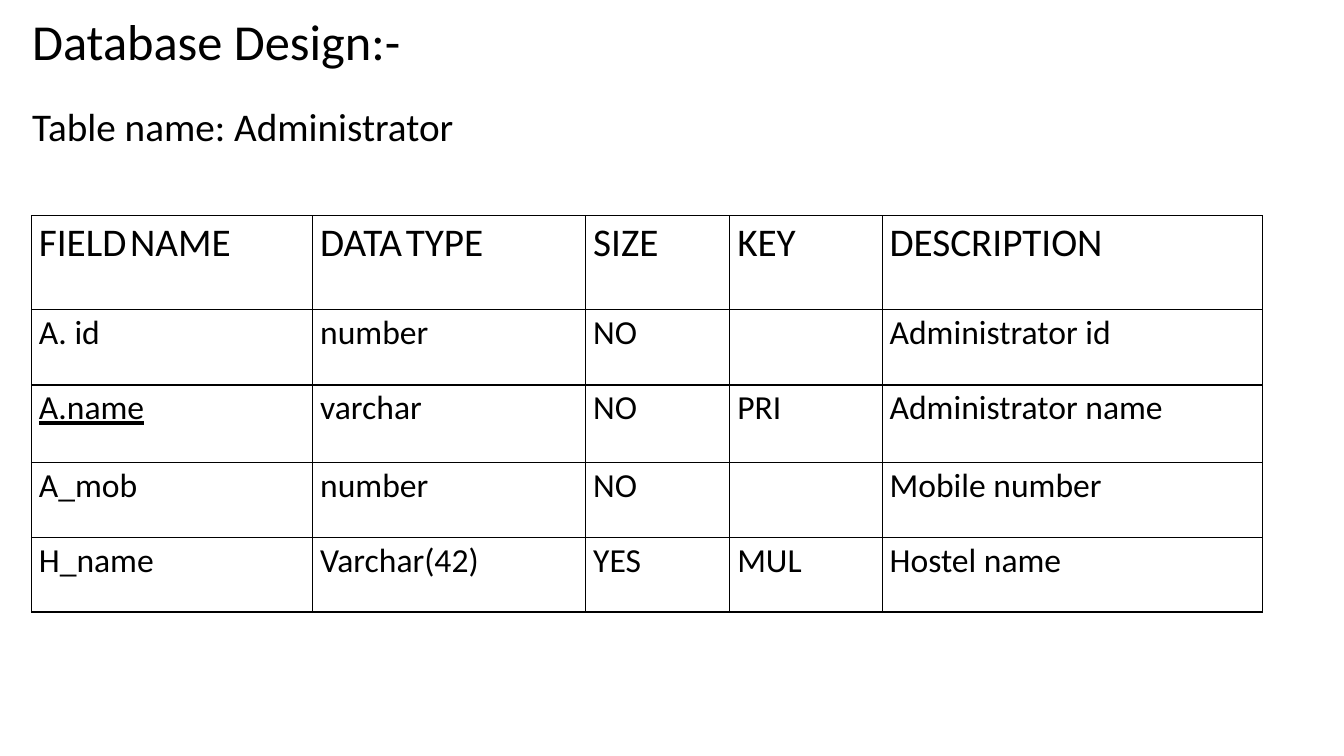
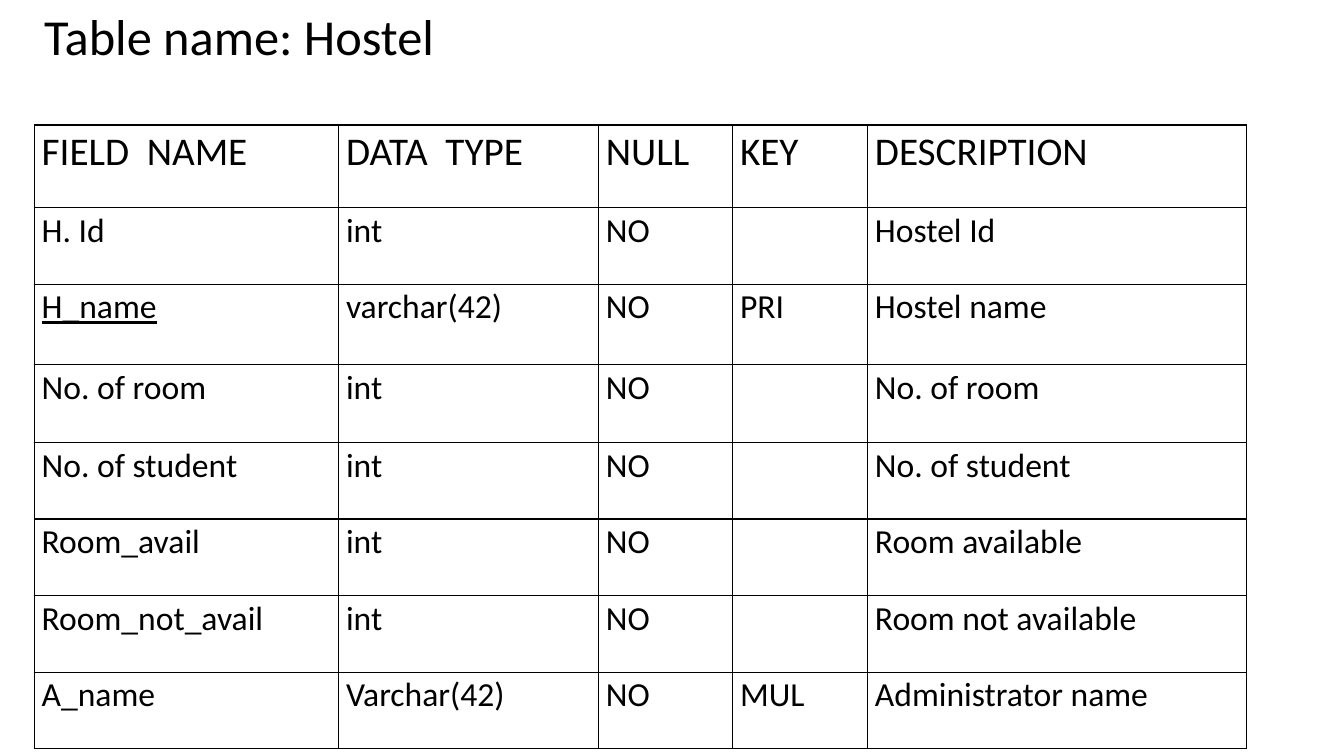
"""Build two slides that describe the database tables of a hostel system."""
from lxml import etree
from pptx import Presentation
from pptx import util as u
from pptx.dml.color import RGBColor
from pptx.enum import text
from pptx.oxml import ns

COLOURS = {"ink": "000000"}
FONT = "Calibri"
SIZES = {"title": 36, "subtitle": 28, "header": 28, "body": 24}
CELL_FORMAT = {"margin_left": u.Cm(0.19), "margin_right": u.Cm(0.19),
               "margin_top": 0, "margin_bottom": 0}
PARAGRAPH_FORMAT = {"line_spacing": 1.07, "space_after": u.Pt(8)}
TABLE_FORMAT = {"first_row": False, "horz_banding": False}
FRAME_FORMAT = {"word_wrap": True, "auto_size": text.MSO_AUTO_SIZE.SHAPE_TO_FIT_TEXT}

SLIDES = [
    {
        "headings": [
            ("Table name: Administrator", "subtitle", (0.56, 2.46, 15.21, 1.45)),
            ("Database Design:-", "title", (0.56, 0.13, 16.94, 1.8)),
        ],
        "origin": (0.79, 5.44),
        "widths": [7.09, 6.88, 3.63, 3.84, 9.58],
        "heights": [2.36, 1.9, 1.96, 1.88, 1.88],
        "gap_size": 12,
        "primary": "A.name",
        "fields": [
            ("FIELD NAME", "DATA TYPE", "SIZE", "KEY", "DESCRIPTION"),
            ("A. id", "number", "NO", "", "Administrator id"),
            ("A.name", "varchar", "NO", "PRI", "Administrator name"),
            ("A_mob", "number", "NO", "", "Mobile number"),
            ("H_name", "Varchar(42)", "YES", "MUL", "Hostel name"),
        ],
    },
    {
        "headings": [("Table name: Hostel", "title", (0.86, 0, 12.37, 1.8))],
        "origin": (0.86, 3.15),
        "widths": [7.67, 6.55, 3.38, 3.4, 9.55],
        "heights": [2.08, 1.93, 2.03, 1.96] + [1.93] * 4,
        "gap_size": 28,
        "primary": "H_name",
        "fields": [
            ("FIELD  NAME", "DATA  TYPE", "NULL", "KEY", "DESCRIPTION"),
            ("H. Id", "int", "NO", "", "Hostel Id"),
            ("H_name", "varchar(42)", "NO", "PRI", "Hostel name"),
            ("No. of room", "int", "NO", "", "No. of room"),
            ("No. of student", "int", "NO", "", "No. of student"),
            ("Room_avail", "int", "NO", "", "Room available"),
            ("Room_not_avail", "int", "NO", "", "Room not available"),
            ("A_name", "Varchar(42)", "NO", "MUL", "Administrator name"),
        ],
    },
]


def apply(target, formats):
    for name, value in formats.items():
        setattr(target, name, value)


def add_run(paragraph, words, size, underline=False):
    run = paragraph.add_run()
    run.text = words
    apply(run.font, {"name": FONT, "size": u.Pt(size), "underline": underline})
    run.font.color.rgb = RGBColor.from_string(COLOURS["ink"])


def add_heading(slide, words, role, place):
    heading = slide.shapes.add_textbox(*map(u.Cm, place))
    apply(heading.text_frame, FRAME_FORMAT)
    add_run(heading.text_frame.paragraphs[0], words, SIZES[role])


def add_borders(cell):
    properties = cell._tc.get_or_add_tcPr()
    for index, side in enumerate(("lnL", "lnR", "lnT", "lnB")):
        line = etree.Element(ns.qn(f"a:{side}"), w=str(u.Pt(1)))
        fill = etree.SubElement(line, ns.qn("a:solidFill"))
        etree.SubElement(fill, ns.qn("a:srgbClr"), val=COLOURS["ink"])
        properties.insert(index, line)


def fill_cell(cell, words, is_header, gap_size, underline):
    apply(cell, CELL_FORMAT)
    cell.fill.background()
    add_borders(cell)
    paragraph = cell.text_frame.paragraphs[0]
    apply(paragraph, PARAGRAPH_FORMAT)
    size = SIZES["header" if is_header else "body"]
    pieces = words.partition(" ") if is_header else (words,)
    for piece in filter(None, pieces):
        add_run(paragraph, piece, gap_size if piece == " " else size, underline)


def add_fields(slide, content):
    fields, widths, heights = (content[key] for key in ("fields", "widths", "heights"))
    place = (*content["origin"], sum(widths), sum(heights))
    table = slide.shapes.add_table(len(fields), len(widths), *map(u.Cm, place)).table
    apply(table, TABLE_FORMAT)
    for column, width in zip(table.columns, widths):
        column.width = u.Cm(width)
    for r, (field, height) in enumerate(zip(fields, heights)):
        table.rows[r].height = u.Cm(height)
        for c, words in enumerate(field):
            is_primary = c == 0 and words == content["primary"]
            fill_cell(table.cell(r, c), words, r == 0, content["gap_size"], is_primary)


def main():
    deck = Presentation()
    apply(deck, {"slide_width": u.Cm(33.87), "slide_height": u.Cm(19.05)})
    for content in SLIDES:
        slide = deck.slides.add_slide(deck.slide_layouts[6])
        add_fields(slide, content)
        for heading in content["headings"]:
            add_heading(slide, *heading)
    deck.save("out.pptx")


if __name__ == "__main__":
    main()
